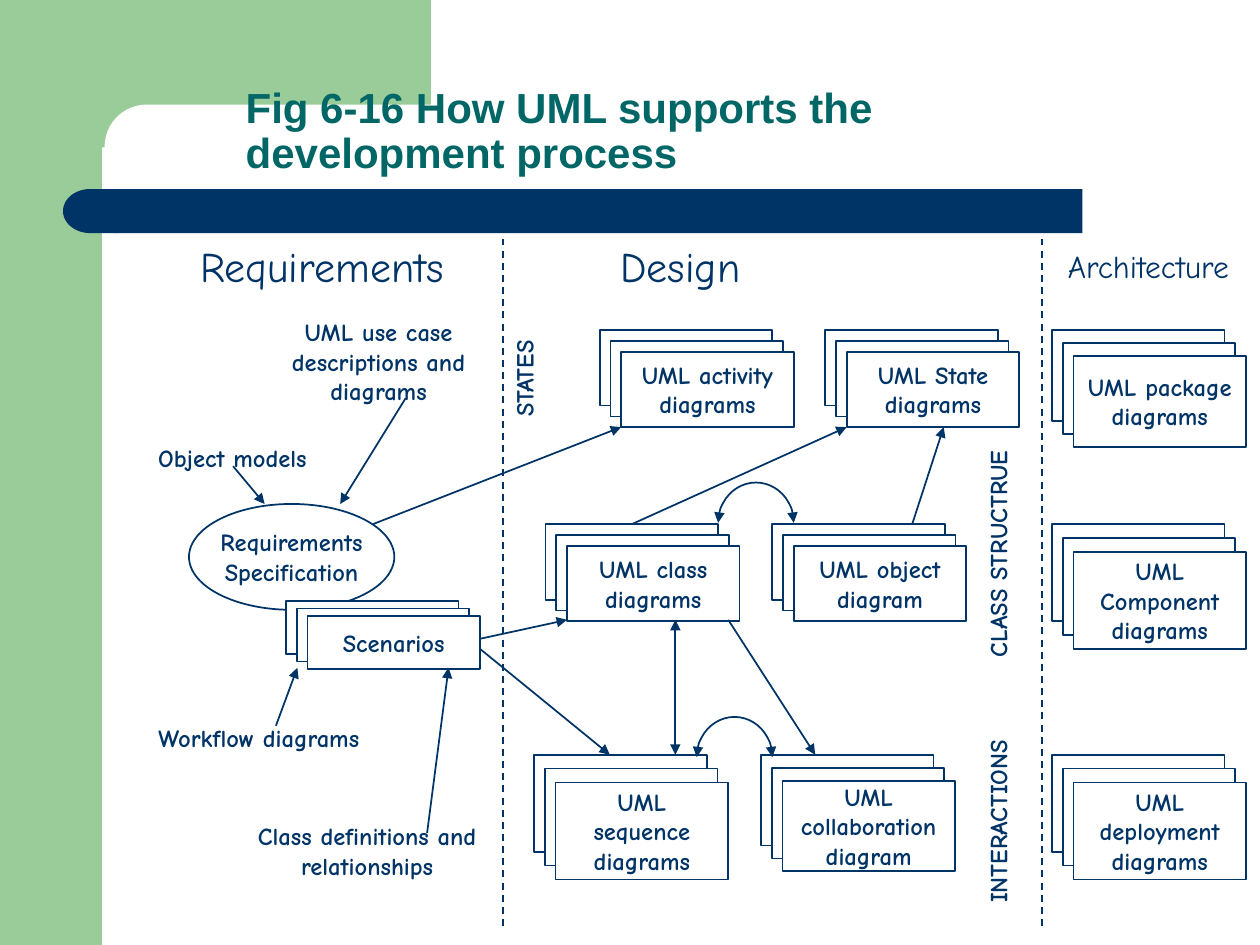
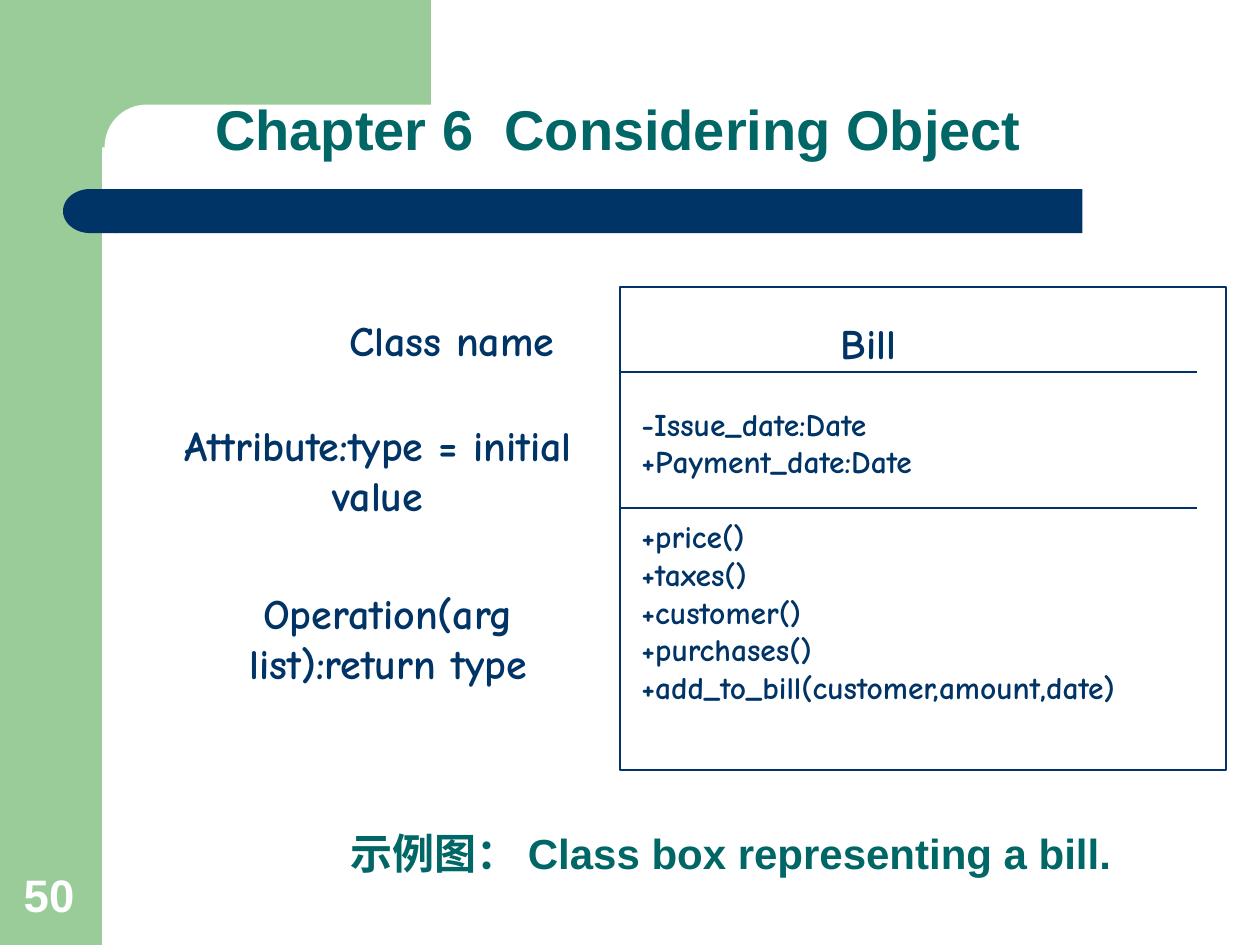
from lxml.etree import SubElement
from pptx import Presentation
from pptx.dml.color import RGBColor
from pptx.enum.dml import MSO_LINE
from pptx.enum.shapes import MSO_CONNECTOR, MSO_SHAPE
from pptx.enum.text import MSO_ANCHOR, MSO_AUTO_SIZE, PP_ALIGN
from pptx.oxml.ns import qn
from pptx.util import Inches, Pt

COLORS = {"green": "99CC99", "navy": "003366", "teal": "006666", "white": "FFFFFF"}
TITLE_FONT, DIAGRAM_FONT = "Arial", "Comic Neue"

# Shared bands: preset, place, colour, rotation
BANDS = [
    (MSO_SHAPE.RECTANGLE, (0, 0, 0.81, 7.5), "green", 0),
    (MSO_SHAPE.RECTANGLE, (0.73, 0, 2.69, 1.17), "green", 0),
    (MSO_SHAPE.ROUNDED_RECTANGLE, (0.83, 0.83, 5.58, 0.67), "white", 0),
    (MSO_SHAPE.RECTANGLE, (0.92, 1.5, 7.67, 0.35), "navy", 0),
    (MSO_SHAPE.FLOWCHART_DELAY, (0.5, 1.5, 0.43, 0.35), "navy", 180),
]

# Development process: a stack is column left, row top, sheet height, label
STATES, STRUCTURE, INTERACTIONS = 2.62, 4.16, 5.99
ARCHITECTURE = 8.35
SHEET_WIDTH, SHEET_SHIFT = 1.37, 0.085
STACKS = {
    "scenarios": (2.27, 4.77, 0.42, "Scenarios"),
    "activity": (4.76, STATES, 0.6, "UML activity\ndiagrams"),
    "state": (6.55, STATES, 0.6, "UML State\ndiagrams"),
    "class": (4.33, STRUCTURE, 0.6, "UML class\ndiagrams"),
    "object": (6.13, STRUCTURE, 0.6, "UML object\ndiagram"),
    "sequence": (4.24, INTERACTIONS, 0.77, "UML\nsequence\ndiagrams"),
    "collaboration": (6.04, INTERACTIONS, 0.72, "UML\ncollaboration\ndiagram"),
    "package": (ARCHITECTURE, STATES, 0.72, "UML package\ndiagrams"),
    "component": (ARCHITECTURE, STRUCTURE, 0.77, "UML\nComponent\ndiagrams"),
    "deployment": (ARCHITECTURE, INTERACTIONS, 0.77, "UML\ndeployment\ndiagrams"),
}
PHASES = [
    ("Requirements", (1.38, 1.86, 2.35, 0.5), 24),
    ("Design", (4.33, 1.86, 2.14, 0.5), 24),
    ("Architecture", (8.23, 1.91, 1.77, 0.4), 18),
]
INPUTS = [
    ("Object models", (0.99, 3.47, 1.71, 0.31)),
    ("UML use case descriptions and diagrams", (2.19, 2.47, 1.63, 0.73)),
    ("Workflow diagrams", (0.9, 5.69, 2.31, 0.31)),
    ("Class definitions and relationships", (1.76, 6.47, 2.31, 0.52)),
]
ROW_NAMES = [
    ("STATES", (3.99, 2.59, 0.45, 0.83)),
    ("CLASS STRUCTRUE", (7.75, 3.47, 0.45, 1.85)),
    ("INTERACTIONS", (7.75, 5.74, 0.45, 1.56)),
]
DIVIDERS = [3.99, 8.27]
ARROWS = [
    ((3.22, 3.16), (2.7, 4)),
    ((1.85, 3.7), (2.1, 4)),
    ((2.19, 5.76), (2.36, 5.3)),
    ((3.39, 6.61), (3.56, 5.3)),
    ((2.96, 4.16), (4.93, 3.39)),
    ((7.24, 4.16), (7.49, 3.39)),
    ((3.81, 5.07), (4.5, 4.92)),
    ((3.81, 5.15), (4.84, 5.99)),
    ((5.78, 4.92), (6.47, 5.99)),
]
ARCS = [(5.7, 3.83), (5.53, 5.69)]
ARC_SIZE = 0.6, 0.64

# Class box
BILL_BOX = 4.92, 2.28, 4.81, 3.83
BILL_PARTS = [
    ["Bill"],
    ["-Issue_date:Date", "+Payment_date:Date"],
    ["+price()", "+taxes()", "+customer()", "+purchases()",
     "+add_to_bill(customer,amount,date)"],
]
BILL_RULES = [2.95, 4.03]
BILL_LABELS = [
    ("Class name", (2.5, 2.45, 2.17, 0.5)),
    ("Attribute:type = initial value", (1.25, 3.28, 3.5, 0.9)),
    ("Operation(arg list):return type", (1.33, 4.61, 3.5, 0.9)),
]


def color(name):
    return RGBColor.from_string(COLORS[name])


def inches(lengths):
    return [Inches(length) for length in lengths]


def format_text(frame, size, font=DIAGRAM_FONT, ink="navy", bold=True,
                align=PP_ALIGN.CENTER):
    for paragraph in frame.paragraphs:
        paragraph.alignment = align
        for run in paragraph.runs:
            run.font.name, run.font.size, run.font.bold = font, Pt(size), bold
            run.font.color.rgb = color(ink)


def add_label(slide, text, place, size=14, **style):
    box = slide.shapes.add_textbox(*inches(place))
    box.text_frame.word_wrap = True
    box.text_frame.text = text
    format_text(box.text_frame, size, **style)
    return box


def format_heading(shape, text, size):
    frame = shape.text_frame
    frame.text = text
    frame.word_wrap, frame.auto_size = True, MSO_AUTO_SIZE.NONE
    frame.vertical_anchor = MSO_ANCHOR.BOTTOM
    frame.paragraphs[0].line_spacing = 0.9
    format_text(frame, size, TITLE_FONT, "teal", align=PP_ALIGN.LEFT)


def place_title(slide, text, place):
    title = slide.shapes.title
    title.left, title.top, title.width, title.height = inches(place)
    format_heading(title, text, 24)


def add_outlined(slide, preset, place, text=""):
    shape = slide.shapes.add_shape(preset, *inches(place))
    shape.shadow.inherit = False
    shape.fill.solid()
    shape.fill.fore_color.rgb = color("white")
    shape.line.color.rgb = color("navy")
    shape.line.width = Pt(1)
    shape.text_frame.word_wrap = False
    shape.text_frame.vertical_anchor = MSO_ANCHOR.MIDDLE
    if text:
        shape.text_frame.text = text
        format_text(shape.text_frame, 14)
    return shape


def add_stack(slide, left, top, height, text):
    """Draw three shifted sheets and return the rearmost one."""
    sheets = [
        add_outlined(slide, MSO_SHAPE.RECTANGLE,
                     (left + SHEET_SHIFT * index, top + height / 7 * index,
                      SHEET_WIDTH, height), text if index == 2 else "")
        for index in range(3)
    ]
    return sheets[0]


def add_arrowheads(shape, *ends):
    outline = shape.element.spPr.find(qn("a:ln"))
    for end in ends:
        SubElement(outline, qn(f"a:{end}"), type="triangle")


def add_line(slide, start, end):
    line = slide.shapes.add_connector(MSO_CONNECTOR.STRAIGHT, *inches(start + end))
    line.line.color.rgb = color("navy")
    line.line.width = Pt(1)
    SubElement(line.element.spPr, qn("a:effectLst"))
    return line


def move_bands_to_layout(slide):
    for preset, place, fill, rotation in BANDS:
        band = slide.shapes.add_shape(preset, *inches(place))
        band.shadow.inherit = False
        band.fill.solid()
        band.fill.fore_color.rgb = color(fill)
        band.line.fill.background()
        band.rotation = rotation
        if preset == MSO_SHAPE.ROUNDED_RECTANGLE:
            band.adjustments[0] = 0.5
        slide.slide_layout.shapes.element.append(band.element)


def build_process(slide):
    place_title(slide, "Fig 6-16 How UML supports the development process",
                (1.85, 0.63, 7.24, 0.83))

    # Boxes
    add_outlined(slide, MSO_SHAPE.OVAL, (1.5, 4, 1.63, 0.84),
                 "Requirements\nSpecification")
    rear_sheets = {name: add_stack(slide, *stack) for name, stack in STACKS.items()}

    # Labels
    for text, place, size in PHASES:
        add_label(slide, text, place, size, bold=False)
    for text, place in INPUTS:
        add_label(slide, text, place)
    for text, place in ROW_NAMES:
        frame = add_label(slide, text, place).text_frame
        frame.margin_left = frame.margin_right = Inches(0.05)
        frame._txBody.bodyPr.set("vert", "vert270")

    # Lines and arrows
    for left in DIVIDERS:
        add_line(slide, (left, 1.7), (left, 7.37)).line.dash_style = MSO_LINE.DASH
    for start, end in ARROWS:
        add_arrowheads(add_line(slide, start, end), "tailEnd")
    class_to_state = add_line(slide, (5.01, 4.16), (6.72, 3.39))
    class_to_state.begin_connect(rear_sheets["class"], 0)
    add_arrowheads(class_to_state, "tailEnd")
    add_arrowheads(add_line(slide, (5.36, 4.92), (5.36, 5.99)), "headEnd", "tailEnd")
    for corner in ARCS:
        arc = add_outlined(slide, MSO_SHAPE.ARC, corner + ARC_SIZE)
        arc.fill.background()
        arc.adjustments[0], arc.adjustments[1] = 108, 0  # upper half
        add_arrowheads(arc, "headEnd", "tailEnd")


def build_bill(slide):
    place_title(slide, "示例图： Class box representing a bill.", (2.68, 6.27, 7.05, 0.75))
    heading = slide.shapes.add_textbox(*inches((1.61, 0.42, 8.14, 0.92)))
    format_heading(heading, "Chapter 6  Considering Object", 32)
    add_label(slide, "50", (0.09, 6.83, 0.64, 0.53), 26, font=TITLE_FONT,
              ink="white", align=PP_ALIGN.LEFT)

    # Class box with its three compartments
    box = add_outlined(slide, MSO_SHAPE.RECTANGLE, BILL_BOX)
    frame = box.text_frame
    frame.vertical_anchor = MSO_ANCHOR.TOP
    frame.margin_left, frame.margin_top = Inches(0.17), Inches(0.24)
    frame.word_wrap = True
    frame.text = "\n".join(line for part in BILL_PARTS for line in part)
    format_text(frame, 18, align=PP_ALIGN.LEFT)
    name = frame.paragraphs[0]
    name.runs[0].font.size = Pt(24)
    name._p.get_or_add_pPr().set("marL", str(Inches(1.58)))
    for first_line in (1, 1 + len(BILL_PARTS[1])):
        frame.paragraphs[first_line].space_before = Pt(21)
    for top in BILL_RULES:
        add_line(slide, (BILL_BOX[0], top), (9.5, top))

    for text, place in BILL_LABELS:
        add_label(slide, text, place, 24)


def main():
    presentation = Presentation()
    presentation.slide_width, presentation.slide_height = Inches(10), Inches(7.5)
    title_only = presentation.slide_layouts[5]
    process, bill = [presentation.slides.add_slide(title_only) for _ in range(2)]
    move_bands_to_layout(process)
    build_process(process)
    build_bill(bill)
    presentation.save("out.pptx")


if __name__ == "__main__":
    main()
